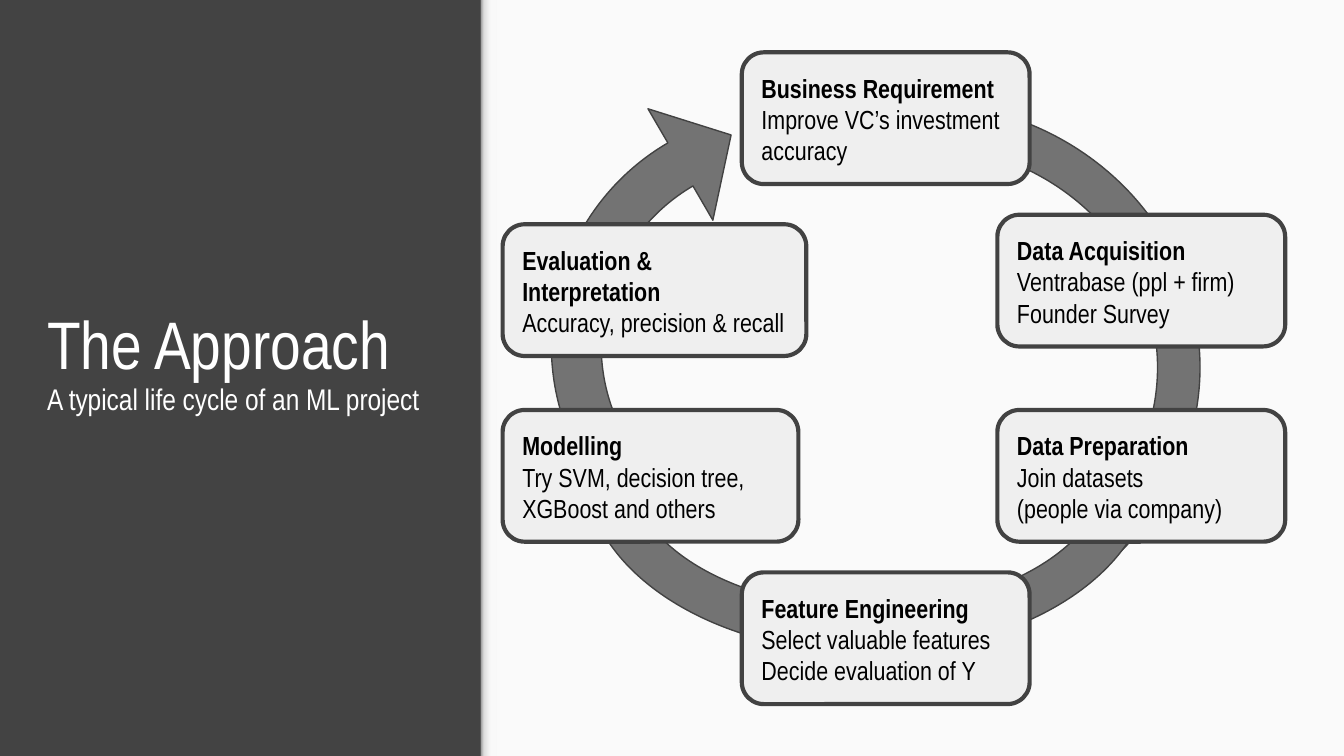
import copy
from dataclasses import dataclass

import pptx
import pptx.dml.color
import pptx.enum.shapes
import pptx.enum.text
import pptx.util
from pptx.oxml.ns import qn

Cm = pptx.util.Cm
Pt = pptx.util.Pt
SHAPE = pptx.enum.shapes.MSO_SHAPE
ANCHOR = pptx.enum.text.MSO_ANCHOR


@dataclass(frozen=True)
class Theme:
    font: str = "Arial Narrow"
    dark: str = "434343"
    panel: str = "FAFAFA"
    ring: str = "737373"
    outline: str = "424242"
    card: str = "EFEFEF"
    ink: str = "000000"
    light: str = "FFFFFF"
    edge: tuple = ((0, "999999"), (0.2, "DEDEDE"), (0.64, "F9F9F9"), (1, "F9F9F9"))
    title: int = 36
    subtitle: int = 16
    body: int = 14
    ring_line: float = 0.75
    card_line: float = 2.25


THEME = Theme()


def rgb(value):
    return pptx.dml.color.RGBColor.from_string(value)


def add_shape(s, kind, box, fill=None, line=None, width=0):
    """Add a preset shape; box is left, top, width, height in cm."""
    sp = s.shapes.add_shape(kind, *map(Cm, box))
    sp.shadow.inherit = False
    if fill:
        sp.fill.solid()
        sp.fill.fore_color.rgb = rgb(fill)
    if line:
        sp.line.color.rgb = rgb(line)
        sp.line.width = Pt(width)
    else:
        sp.line.fill.background()
    return sp


def set_text(sp, lines, size, color, anchor, bold_first=False):
    tf = sp.text_frame
    tf.word_wrap = True
    tf.vertical_anchor = anchor
    tf.margin_left = tf.margin_right = tf.margin_top = tf.margin_bottom = Cm(0.25)
    for i, line in enumerate(lines):
        p = tf.paragraphs[0] if i == 0 else tf.add_paragraph()
        p.alignment = pptx.enum.text.PP_ALIGN.LEFT
        p.add_run().text = line
        p.font.name = THEME.font
        p.font.size = Pt(size)
        p.font.color.rgb = rgb(color)
        p.font.bold = bold_first and i == 0


def heading(s, box):
    """Title and subtitle, each sitting on the bottom of its text box."""
    x, y, w, h = box
    rows = (
        ("The Approach", THEME.title, 7.49),
        ("A typical life cycle of an ML project", THEME.subtitle, 8.13),
    )
    for text, size, bottom in rows:
        sp = s.shapes.add_textbox(Cm(x + 0.64), Cm(y), Cm(w - 0.96), Cm(bottom))
        set_text(sp, [text], size, THEME.light, ANCHOR.BOTTOM)


def panel(s, box):
    """Light panel with a shaded strip along its left edge."""
    x, y, w, h = box
    add_shape(s, SHAPE.RECTANGLE, box, THEME.panel)
    strip = add_shape(s, SHAPE.RECTANGLE, (x, y, 0.3, h))
    strip.fill.gradient()
    strip.fill.gradient_angle = 0
    stops = strip._element.spPr.find(qn("a:gradFill")).find(qn("a:gsLst"))
    while len(stops) < len(THEME.edge):
        stops.append(copy.deepcopy(stops[0]))
    for stop, (position, color) in zip(strip.fill.gradient_stops, THEME.edge):
        stop.position = position
        stop.color.rgb = rgb(color)


def ring(s, box):
    """Two arcs and a bent arrow that together make the cycle."""
    x, y, w, h = box
    parts = (
        (SHAPE.BLOCK_ARC, (2.87, 1.93, 10.72, 10.03), 0, (158.2, 25.85, 0.08)),
        (SHAPE.BLOCK_ARC, (1.96, 5.33, 10.72, 7.01), 180, (112.89, 211.18, 0.12)),
        (SHAPE.BENT_ARROW, (0.44, 2.49, 5.54, 5.92), 329.8, (0.17, 0.22, 0.2, 0.8)),
    )
    for kind, (dx, dy, pw, ph), angle, adjustments in parts:
        sp = add_shape(s, kind, (x + dx, y + dy, pw, ph),
                       THEME.ring, THEME.outline, THEME.ring_line)
        sp.rotation = angle
        for i, value in enumerate(adjustments):
            sp.adjustments[i] = value


def stages(s, box):
    """Six stage cards around the ring."""
    x, y, w, h = box
    left, middle, right = 0.41, 4.93, 9.76
    card_w, card_h = 5.44, 2.49
    cards = (
        (middle, 0.99, card_w,
         ("Business Requirement", "Improve VC’s investment accuracy")),
        (right, 4.06, card_w,
         ("Data Acquisition", "Ventrabase (ppl + firm)", "Founder Survey")),
        (right, 7.75, card_w,
         ("Data Preparation", "Join datasets", "(people via company)")),
        (middle, 10.82, card_w,
         ("Feature Engineering", "Select valuable features", "Decide evaluation of Y")),
        (left, 4.24, 5.74,
         ("Evaluation & Interpretation", "Accuracy, precision & recall")),
        (left, 7.75, 5.59,
         ("Modelling", "Try SVM, decision tree, XGBoost and others")),
    )
    for dx, dy, cw, lines in cards:
        sp = add_shape(s, SHAPE.ROUNDED_RECTANGLE, (x + dx, y + dy, cw, card_h),
                       THEME.card, THEME.outline, THEME.card_line)
        set_text(sp, lines, THEME.body, THEME.ink, ANCHOR.TOP, bold_first=True)


def main():
    prs = pptx.Presentation()
    width, height, split = 25.4, 14.29, 9.09
    prs.slide_width, prs.slide_height = Cm(width), Cm(height)
    s = prs.slides.add_slide(prs.slide_layouts[6])
    s.background.fill.solid()
    s.background.fill.fore_color.rgb = rgb(THEME.dark)

    cycle_box = (split, 0, width - split, height)
    panel(s, cycle_box)
    ring(s, cycle_box)
    stages(s, cycle_box)
    heading(s, (0, 0, split, height))
    prs.save("out.pptx")


if __name__ == "__main__":
    main()
